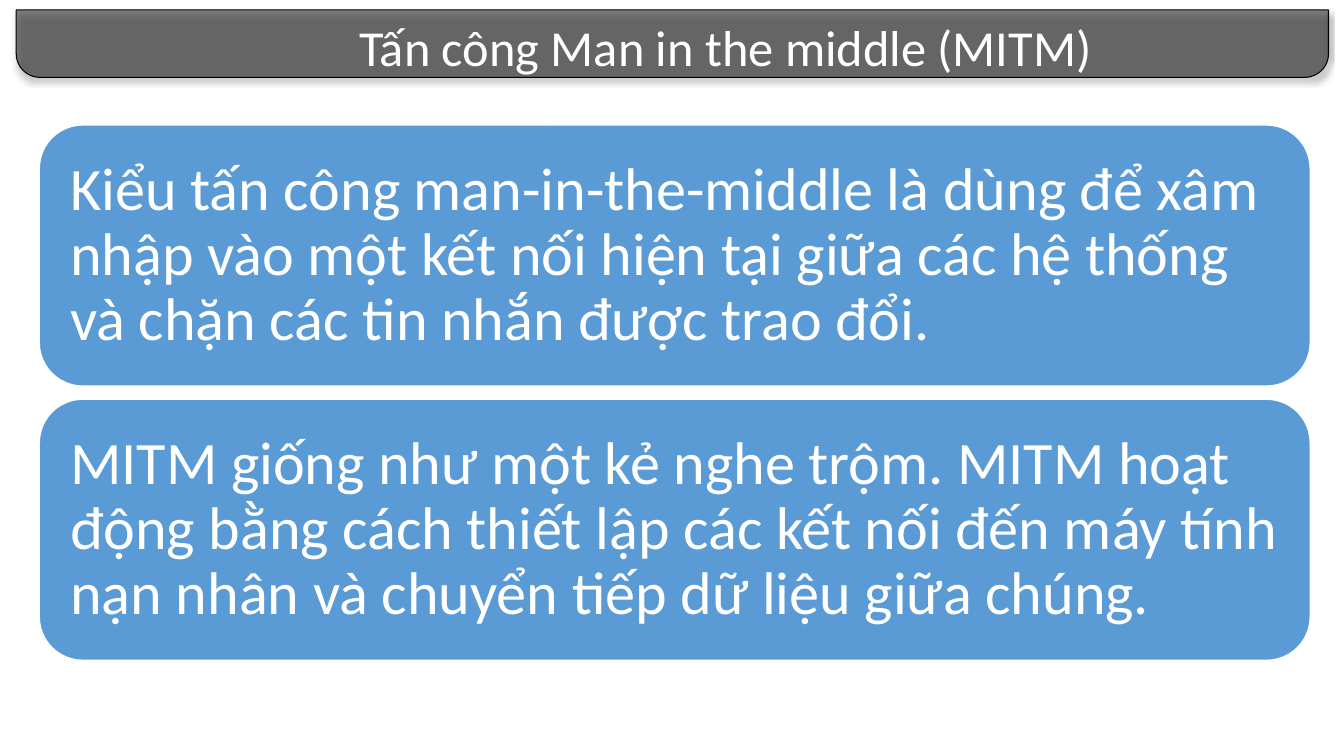
from dataclasses import dataclass

import pptx
import pptx.dml.color
import pptx.enum.shapes
import pptx.enum.text
import pptx.oxml
import pptx.oxml.ns
import pptx.util
from pptx.util import Cm

SHAPE = pptx.enum.shapes.MSO_SHAPE
ANCHOR = pptx.enum.text.MSO_ANCHOR
ALIGN = pptx.enum.text.PP_ALIGN


@dataclass(frozen=True)
class Theme:
    font: str = "Calibri"
    bar: str = "000000"
    card: str = "5B9BD5"
    light: str = "FFFFFF"
    title_size: int = 36
    card_size: int = 43


THEME = Theme()

TITLE = "Tấn công Man in the middle (MITM)"
CARDS = [
    "Kiểu tấn công man-in-the-middle là dùng để xâm nhập vào một kết nối "
    "hiện tại giữa các hệ thống và chặn các tin nhắn được trao đổi.",
    "MITM giống như một kẻ nghe trộm. MITM hoạt động bằng cách thiết lập "
    "các kết nối đến máy tính nạn nhân và chuyển tiếp dữ liệu giữa chúng.",
]
CARD_LEFT, CARD_TOP, CARD_WIDTH, CARD_HEIGHT = 0.99, 3.15, 32.03, 6.58
CARD_STEP = 6.91
CARD_INSET = Cm(0.46)

BAR_SHADOW = """
<a:effectLst {ns}>
  <a:outerShdw blurRad="50800" dist="38100" dir="5400000" rotWithShape="0">
    <a:srgbClr val="{color}"><a:alpha val="40000"/></a:srgbClr>
  </a:outerShdw>
</a:effectLst>"""


def rgb(value):
    return pptx.dml.color.RGBColor.from_string(value)


def add_filled_shape(slide, kind, box, fill, line, line_width):
    sp = slide.shapes.add_shape(kind, *map(Cm, box))
    sp.shadow.inherit = False
    sp.fill.solid()
    sp.fill.fore_color.rgb = rgb(fill)
    sp.line.color.rgb = rgb(line)
    sp.line.width = pptx.util.Pt(line_width)
    return sp


def write_text(sp, text, size, align, anchor):
    tf = sp.text_frame
    tf.text = text
    tf.word_wrap = True
    tf.auto_size = pptx.enum.text.MSO_AUTO_SIZE.NONE
    tf.vertical_anchor = anchor
    p = tf.paragraphs[0]
    p.alignment = align
    font = p.runs[0].font
    font.name = THEME.font
    font.size = pptx.util.Pt(size)
    font.color.rgb = rgb(THEME.light)
    return p


def add_title_bar(slide):
    """Add the half-transparent bar, rounded at the bottom, behind the title."""
    sp = add_filled_shape(slide, SHAPE.ROUND_2_SAME_RECTANGLE,
                          (0.41, 0.25, 33.07, 1.7), THEME.bar, THEME.bar, 0.75)
    sp.adjustments[0] = 0
    sp.adjustments[1] = 0.35
    sp_pr = sp._element.spPr
    color = sp_pr.find(".//" + pptx.oxml.ns.qn("a:srgbClr"))
    alpha = f'<a:alpha {pptx.oxml.ns.nsdecls("a")} val="50000"/>'
    color.append(pptx.oxml.parse_xml(alpha))
    shadow = BAR_SHADOW.format(ns=pptx.oxml.ns.nsdecls("a"), color=THEME.bar)
    sp_pr.replace(sp_pr.find(pptx.oxml.ns.qn("a:effectLst")),
                  pptx.oxml.parse_xml(shadow))
    slide.shapes.title._element.addprevious(sp._element)


def set_title(slide, text):
    title = slide.shapes.title
    title.left, title.top, title.width, title.height = map(
        Cm, (8.36, 0.28, 19.86, 1.8))
    write_text(title, text, THEME.title_size, ALIGN.CENTER, ANCHOR.TOP)


def add_card(slide, top, text):
    sp = add_filled_shape(slide, SHAPE.ROUNDED_RECTANGLE,
                          (CARD_LEFT, top, CARD_WIDTH, CARD_HEIGHT),
                          THEME.card, THEME.light, 1)
    tf = sp.text_frame
    tf.margin_left = tf.margin_right = CARD_INSET
    tf.margin_top = tf.margin_bottom = CARD_INSET
    p = write_text(sp, text, THEME.card_size, ALIGN.LEFT, ANCHOR.MIDDLE)
    p.line_spacing = 0.9


def main():
    prs = pptx.Presentation()
    prs.slide_width, prs.slide_height = Cm(33.87), Cm(19.05)
    slide = prs.slides.add_slide(prs.slide_layouts.get_by_name("Title Only"))
    set_title(slide, TITLE)
    add_title_bar(slide)
    for i, text in enumerate(CARDS):
        add_card(slide, CARD_TOP + i * CARD_STEP, text)
    prs.save("out.pptx")


if __name__ == "__main__":
    main()
